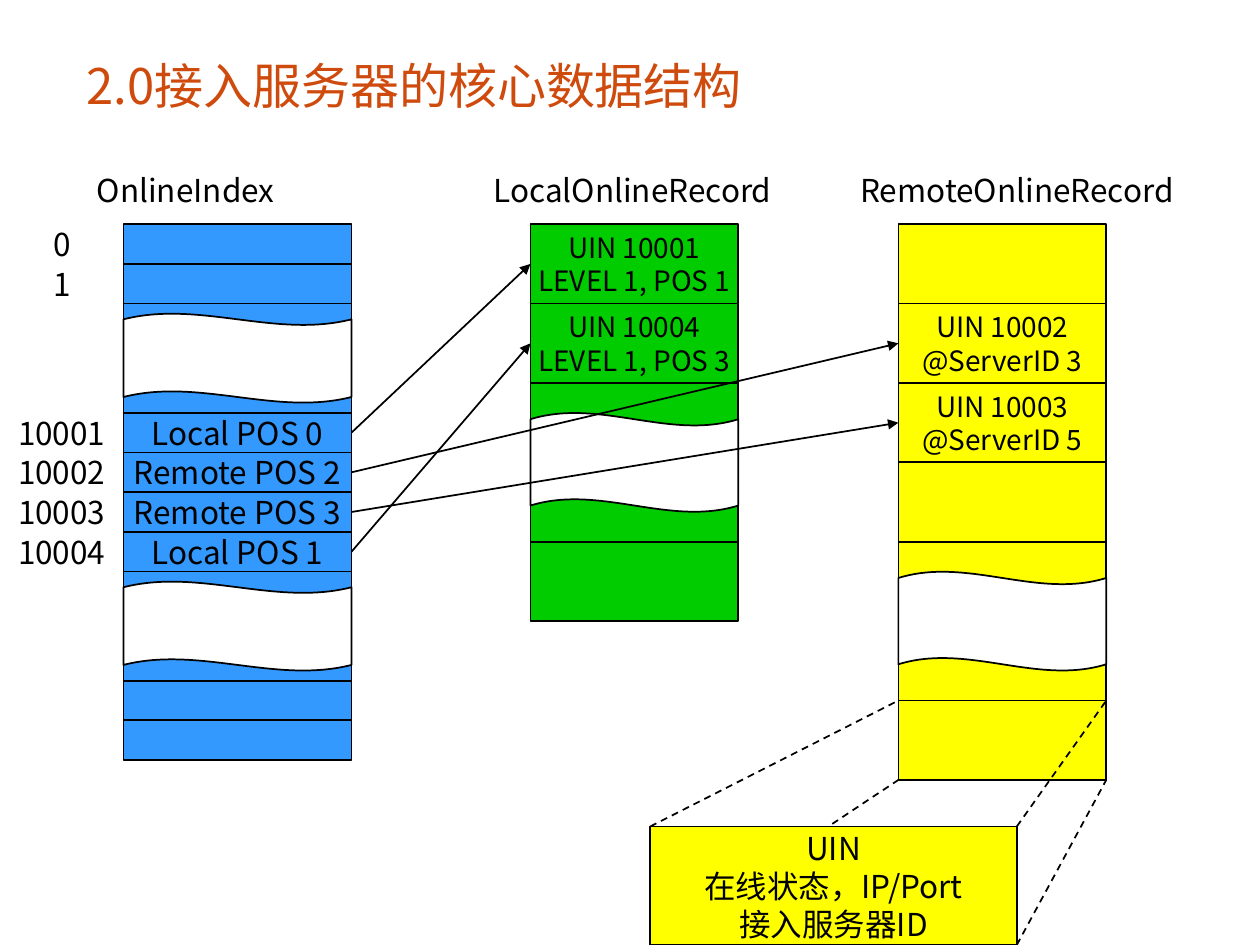
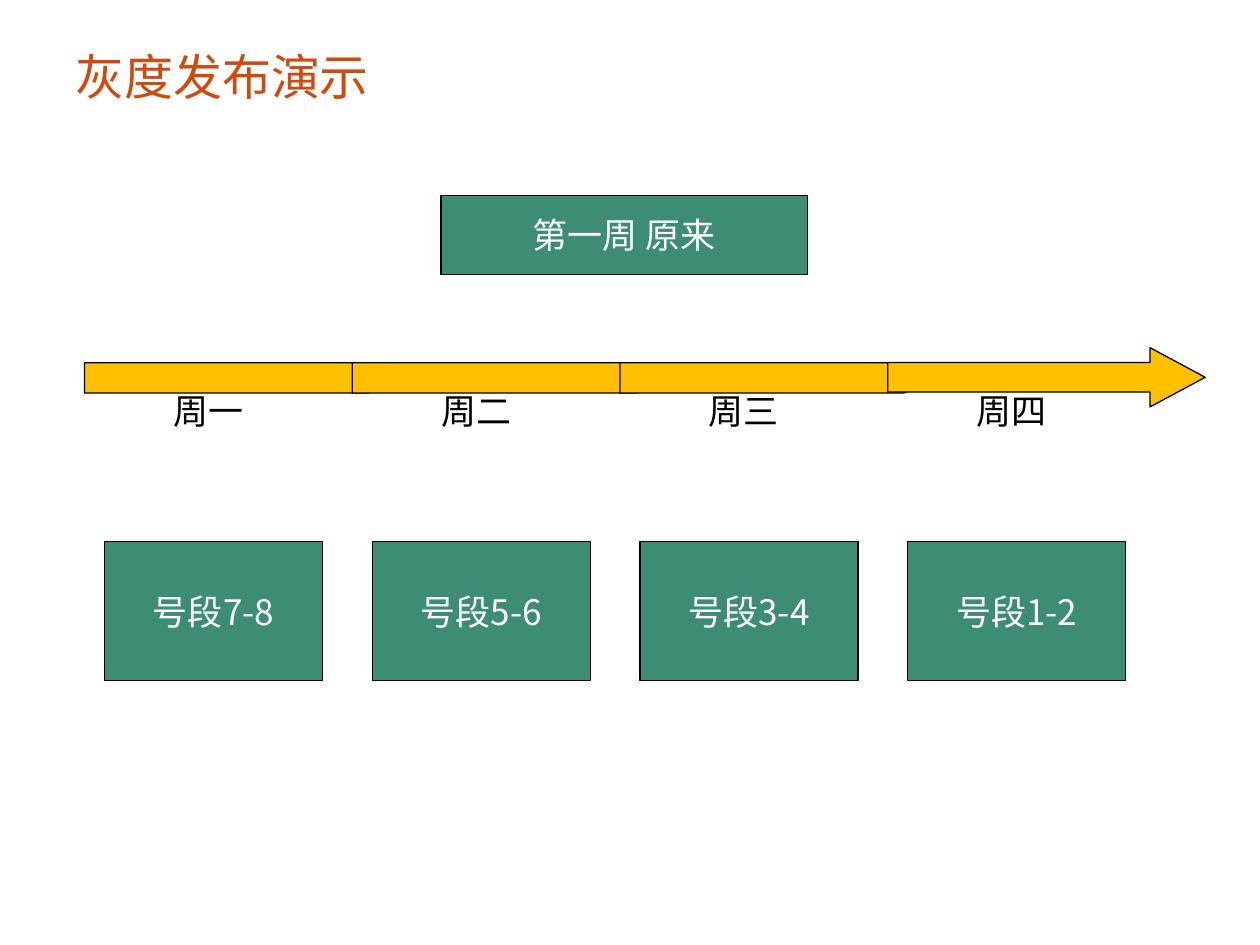
from pptx import Presentation
from pptx import util as u
from pptx.dml.color import RGBColor
from pptx.enum import dml, shapes, text
from pptx.oxml import xmlchemy

WIDTH, HEIGHT = 10, 7.5
FONT = "Noto Sans CJK SC"
BLACK, WHITE, ORANGE = "000000", "FFFFFF", "CF4B0D"
BLUE, GREEN, YELLOW = "3399FF", "00CC00", "FFFF00"
TEAL, AMBER = "3D8D74", "FFC000"
KIND = shapes.MSO_SHAPE
LEFT, CENTER = text.PP_ALIGN.LEFT, text.PP_ALIGN.CENTER
TOP, MIDDLE = text.MSO_ANCHOR.TOP, text.MSO_ANCHOR.MIDDLE

GRID_TOP, ROW = 1.78, 0.315
INDEX_LEFT, INDEX_WIDTH = 0.98, 1.81
LOCAL_LEFT, REMOTE_LEFT, RECORD_WIDTH = 4.21, 7.13, 1.65
WAVE_DEPTH = 0.065
DAY_LEFT, DAY_PITCH, DAY_WIDTH = 0.67, 2.125, 2.52


def color(value):
    return RGBColor.from_string(value)


def row_y(row):
    return GRID_TOP + row * ROW


def inches(*lengths):
    return [u.Inches(length) for length in lengths]


def write(box, words, size, ink, align=CENTER, anchor=MIDDLE, wrap=False):
    frame = box.text_frame
    frame.text = words
    frame.word_wrap = wrap
    frame.vertical_anchor = anchor
    for para in frame.paragraphs:
        para.alignment = align
        for span in para.runs:
            span.font.size = u.Pt(size)
            span.font.name = FONT
            span.font.color.rgb = color(ink)
            east_asian = xmlchemy.OxmlElement("a:ea")
            east_asian.set("typeface", FONT)
            span.font._element.append(east_asian)


def add_label(page, place, words, size, ink=BLACK, **style):
    box = page.shapes.add_textbox(*inches(*place))
    write(box, words, size, ink, **style)


def add_title(page, place, words):
    add_label(page, place, words, 28, ORANGE, align=LEFT, wrap=True)


def add_block(page, kind, place, fill, weight, adjustments=()):
    block = page.shapes.add_shape(kind, *inches(*place))
    block.shadow.inherit = False
    block.fill.solid()
    block.fill.fore_color.rgb = color(fill)
    block.line.color.rgb = color(BLACK)
    block.line.width = u.Pt(weight)
    for number, value in enumerate(adjustments):
        block.adjustments[number] = value
    return block


def add_line(page, start, end, arrow=False, dashed=False):
    line = page.shapes.add_connector(
        shapes.MSO_CONNECTOR.STRAIGHT, *inches(*start, *end))
    line.line.color.rgb = color(BLACK)
    line.line.width = u.Pt(1)
    if dashed:
        line.line.dash_style = dml.MSO_LINE.DASH
    if arrow:
        head = xmlchemy.OxmlElement("a:tailEnd")
        head.set("type", "triangle")
        line.line._get_or_add_ln().append(head)
    line._element.spPr.append(xmlchemy.OxmlElement("a:effectLst"))


def add_cells(page, left, width, rows, height, fill, words, size):
    for row in rows:
        place = left, row_y(row), width, height * ROW
        cell = add_block(page, KIND.RECTANGLE, place, fill, 1)
        if row in words:
            write(cell, words[row], size, BLACK)


def add_gap(page, left, width, row, height):
    place = left, row_y(row), width, height * ROW
    add_block(page, KIND.WAVE, place, WHITE, 1, [WAVE_DEPTH])


def add_index(page):
    numbers = {0: "0", 1: "1", 4.75: "10001", 5.75: "10002",
               6.75: "10003", 7.75: "10004"}
    for row, number in numbers.items():
        add_label(page, (0, row_y(row), INDEX_LEFT, ROW), number, 18)
    entries = {4.75: "Local POS 0", 5.75: "Remote POS 2",
               6.75: "Remote POS 3", 7.75: "Local POS 1"}
    rows = [0, 1, 2, 3.75, *entries, 8.75, 10.5, 11.5, 12.5]
    add_cells(page, INDEX_LEFT, INDEX_WIDTH, rows, 1, BLUE, entries, 18)
    for row in (2.25, 9):
        add_gap(page, INDEX_LEFT, INDEX_WIDTH, row, 2.25)


def add_records(page, left, count, fill, records, gap_row):
    rows = range(0, 2 * count, 2)
    add_cells(page, left, RECORD_WIDTH, rows, 2, fill, records, 16)
    add_gap(page, left, RECORD_WIDTH, gap_row, 2.5)


def add_record_detail(page):
    left, top, width = 5.16, 6.56, 2.91
    right, record_right = left + width, REMOTE_LEFT + RECORD_WIDTH
    for x, record_x in ((left, REMOTE_LEFT), (right, record_right)):
        for y, row in ((top, 12), (HEIGHT, 14)):
            add_line(page, (x, y), (record_x, row_y(row)), dashed=True)
    place = left, top, width, HEIGHT - top
    detail = add_block(page, KIND.RECTANGLE, place, YELLOW, 1)
    write(detail, "UIN\n在线状态，IP/Port\n接入服务器ID", 18, BLACK)


def build_data_structure(page):
    add_title(page, (0.59, 0.21, 6.57, 0.92), "2.0接入服务器的核心数据结构")
    add_records(page, LOCAL_LEFT, 5, GREEN,
                {0: "UIN 10001\nLEVEL 1, POS 1",
                 2: "UIN 10004\nLEVEL 1, POS 3"}, 4.75)
    add_index(page)
    add_records(page, REMOTE_LEFT, 7, YELLOW,
                {2: "UIN 10002\n@ServerID 3",
                 4: "UIN 10003\n@ServerID 5"}, 8.75)
    targets = [(LOCAL_LEFT, 1), (REMOTE_LEFT, 3),
               (REMOTE_LEFT, 5), (LOCAL_LEFT, 3)]
    for number, (x, row) in enumerate(targets):
        start = INDEX_LEFT + INDEX_WIDTH, row_y(5.25 + number)
        add_line(page, start, (x, row_y(row)), arrow=True)
    headings = [(0.67, 1.65, "OnlineIndex"),
                (3.82, 2.6, "LocalOnlineRecord"),
                (6.73, 2.84, "RemoteOnlineRecord")]
    for left, width, words in headings:
        add_label(page, (left, 1.31, width, 0.4), words, 18,
                  align=LEFT, anchor=TOP, wrap=True)
    add_record_detail(page)


def add_teal_box(page, place, words):
    box = add_block(page, KIND.RECTANGLE, place, TEAL, 0.75)
    write(box, words, 20, WHITE)


def build_staged_release(page):
    add_title(page, (0.5, 0.21, 9, 0.79), "灰度发布演示")
    add_teal_box(page, (3.5, 1.55, 2.91, 0.63), "第一周 原来")
    days = [("周一", "号段7-8"), ("周二", "号段5-6"),
            ("周三", "号段3-4"), ("周四", "号段1-2")]
    for number, (day, segment) in enumerate(days):
        left = DAY_LEFT + number * DAY_PITCH
        if number < len(days) - 1:
            add_block(page, KIND.PENTAGON, (left, 2.88, DAY_WIDTH, 0.24),
                      AMBER, 0.75, [1.11])
        else:
            add_block(page, KIND.RIGHT_ARROW, (left, 2.76, DAY_WIDTH, 0.47),
                      AMBER, 0.75, [0.5, 0.93])
        add_label(page, (left + 0.55, 3.04, 0.87, 0.44), day, 20,
                  anchor=TOP, wrap=True)
        add_teal_box(page, (left + 0.16, 4.3, 1.73, 1.1), segment)


def main():
    deck = Presentation()
    deck.slide_width, deck.slide_height = inches(WIDTH, HEIGHT)
    for build in (build_data_structure, build_staged_release):
        build(deck.slides.add_slide(deck.slide_layouts[6]))
    deck.save("out.pptx")


if __name__ == "__main__":
    main()
